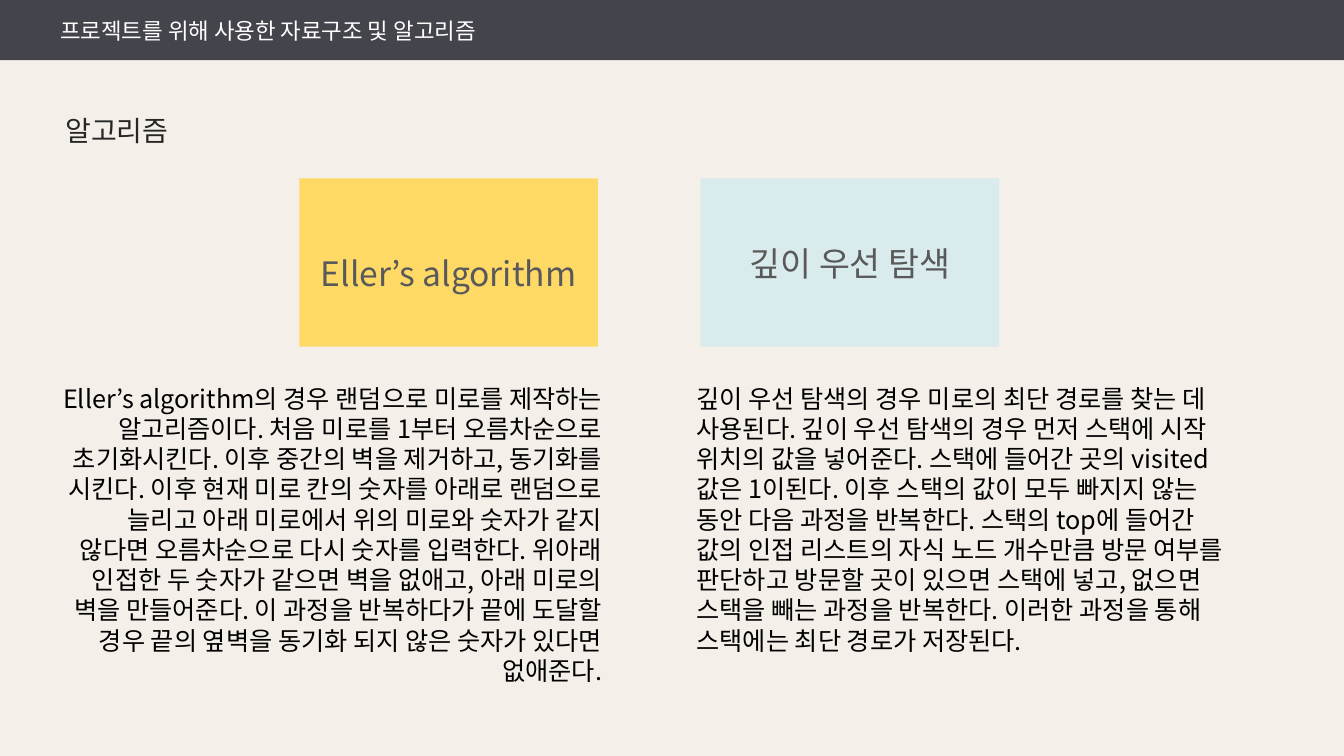
from lxml.etree import SubElement
from pptx import Presentation
from pptx.dml.color import RGBColor
from pptx.enum.shapes import MSO_SHAPE
from pptx.enum.text import MSO_ANCHOR, MSO_AUTO_SIZE, PP_ALIGN
from pptx.oxml.ns import qn
from pptx.util import Inches, Pt

WIDTH, HEIGHT = 13.33, 7.5
FONT = "Noto Sans CJK KR"

# Rows and card size in inches
HEADER_HEIGHT = 0.08 * HEIGHT
CARD_TOP, CARD_WIDTH, CARD_HEIGHT = 1.77, 2.96, 1.67
BODY_TOP, BODY_HEIGHT = 3.75, 3.13

# Card: title, fill, left, line spacing; body: left, width, alignment, text
ALGORITHMS = [
    ("Eller’s algorithm", "FFD966", 2.97, 1.5, 0.48, 5.59, PP_ALIGN.RIGHT,
     "Eller’s algorithm의 경우 랜덤으로 미로를 제작하는 알고리즘이다. "
     "처음 미로를 1부터 오름차순으로 초기화시킨다. 이후 중간의 벽을 제거하고, "
     "동기화를 시킨다. 이후 현재 미로 칸의 숫자를 아래로 랜덤으로 늘리고 "
     "아래 미로에서 위의 미로와 숫자가 같지 않다면 오름차순으로 다시 숫자를 "
     "입력한다. 위아래 인접한 두 숫자가 같으면 벽을 없애고, 아래 미로의 벽을 "
     "만들어준다. 이 과정을 반복하다가 끝에 도달할 경우 끝의 옆벽을 "
     "동기화 되지 않은 숫자가 있다면 없애준다."),
    ("깊이 우선 탐색", "D9EBED", 6.95, 1.0, 6.81, 5.42, PP_ALIGN.LEFT,
     "깊이 우선 탐색의 경우 미로의 최단 경로를 찾는 데 사용된다. "
     "깊이 우선 탐색의 경우 먼저 스택에 시작 위치의 값을 넣어준다. "
     "스택에 들어간 곳의 visited값은 1이된다. 이후 스택의 값이 모두 "
     "빠지지 않는 동안 다음 과정을 반복한다. 스택의 top에 들어간 값의 "
     "인접 리스트의 자식 노드 개수만큼 방문 여부를 판단하고 방문할 곳이 "
     "있으면 스택에 넣고, 없으면 스택을 빼는 과정을 반복한다. "
     "이러한 과정을 통해 스택에는 최단 경로가 저장된다."),
]


def color(value):
    return RGBColor.from_string(value)


def write(shape, text, size, text_color, align=PP_ALIGN.LEFT, spacing=1.0):
    """Fill a shape with one styled paragraph and return it."""
    shape.text_frame.text = text
    paragraph = shape.text_frame.paragraphs[0]
    paragraph.alignment = align
    paragraph.line_spacing = spacing
    font = paragraph.runs[0].font
    font.size = Pt(size)
    font.name = FONT
    font.color.rgb = color(text_color)
    # Korean letters take the East Asian typeface
    SubElement(font._element, qn("a:ea"), typeface=FONT)
    return paragraph


def add_block(slide, left, top, width, height, fill):
    shape = slide.shapes.add_shape(
        MSO_SHAPE.RECTANGLE, *map(Inches, (left, top, width, height)))
    shape.shadow.inherit = False
    shape.fill.solid()
    shape.fill.fore_color.rgb = color(fill)
    shape.line.fill.background()
    shape.text_frame.vertical_anchor = MSO_ANCHOR.MIDDLE
    return shape


def add_text(slide, left, top, width, height, *style, **options):
    box = slide.shapes.add_textbox(*map(Inches, (left, top, width, height)))
    box.text_frame.word_wrap = True
    box.text_frame.auto_size = MSO_AUTO_SIZE.SHAPE_TO_FIT_TEXT
    write(box, *style, **options)


def main():
    presentation = Presentation()
    presentation.slide_width = Inches(WIDTH)
    presentation.slide_height = Inches(HEIGHT)
    slide = presentation.slides.add_slide(presentation.slide_layouts[6])

    # Header bar and page ground
    header = add_block(slide, 0, 0, WIDTH, HEADER_HEIGHT, "44444C")
    title = write(header, "프로젝트를 위해 사용한 자료구조 및 알고리즘", 16, "FFFFFF")
    title.level = 1
    add_block(slide, 0, HEADER_HEIGHT, WIDTH, HEIGHT - HEADER_HEIGHT, "F4EFE9")

    # Section heading
    add_text(slide, 0.55, 0.91, 5.9, 0.54, "알고리즘", 20, "262626", spacing=1.5)

    # One card with its explanation per algorithm
    for (name, fill, card_left, spacing,
         body_left, body_width, align, body) in ALGORITHMS:
        card = add_block(slide, card_left, CARD_TOP, CARD_WIDTH, CARD_HEIGHT, fill)
        write(card, name, 24, "595959", PP_ALIGN.CENTER, spacing)
        add_text(slide, body_left, BODY_TOP, body_width, BODY_HEIGHT,
                 body, 18, "000000", align=align)

    presentation.save("out.pptx")


if __name__ == "__main__":
    main()
